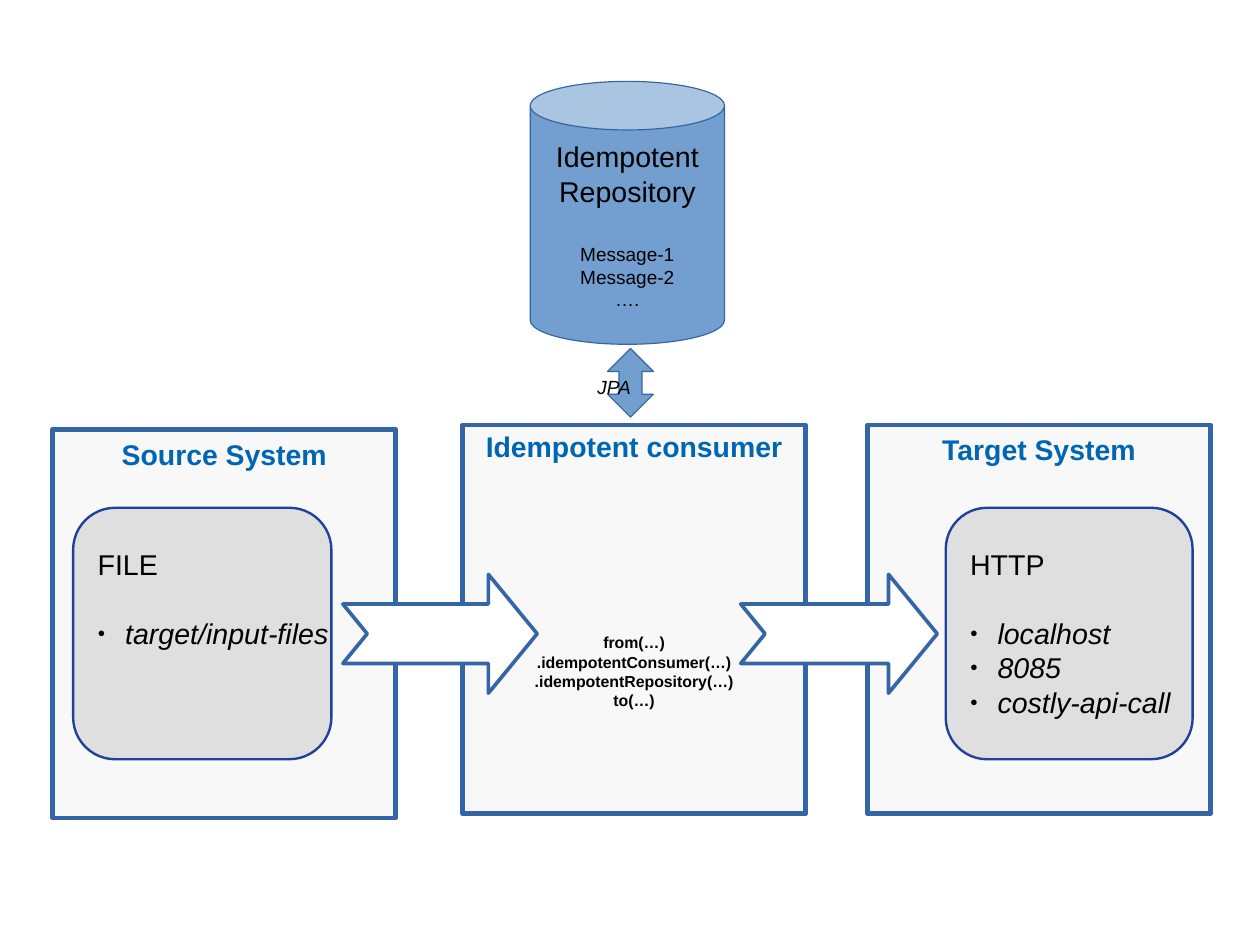
"""Build a one-slide diagram of the idempotent consumer pattern."""
from lxml import etree
from pptx import Presentation
from pptx.dml.color import RGBColor
from pptx.enum.shapes import MSO_SHAPE
from pptx.enum.text import MSO_ANCHOR, PP_ALIGN
from pptx.oxml.ns import qn
from pptx.util import Pt

RECT, ROUND = MSO_SHAPE.RECTANGLE, MSO_SHAPE.ROUNDED_RECTANGLE
CAN, NOTCH = MSO_SHAPE.CAN, MSO_SHAPE.NOTCHED_RIGHT_ARROW
BOTH = MSO_SHAPE.UP_DOWN_ARROW
TOP, MID = MSO_ANCHOR.TOP, MSO_ANCHOR.MIDDLE
LEFT, MIDDLE, RIGHT = PP_ALIGN.LEFT, PP_ALIGN.CENTER, PP_ALIGN.RIGHT

COLORS = {"panel": "EEEEEE", "card": "CCCCCC", "store": "729FCF",
          "white": "FFFFFF", "edge": "3465A4", "rim": "21409A",
          "title": "0066B3", "text": "000000"}
FONT = "Arial"
WIDE, HIGH = 793.7, 595.28
GAP = 21.7

PANELS = [
    (33.3, 270.5, 4.7, "Source System", []),
    (291.4, 267.8, 2.3, "Idempotent consumer",
     ["from(…)", ".idempotentConsumer(…)", ".idempotentRepository(…)",
      "to(…)"]),
    (546.5, 267.8, 4.6, "Target System", []),
]
FLOWS = [(216, 122.4), (466.6, 123.8)]
CARDS = [
    (46.1, 162.7, "FILE", ["target/input-files"]),
    (595.8, 155.5, "HTTP", ["localhost", "8085", "costly-api-call"]),
]
STORE = ["Idempotent", "Repository"]
ROWS = ["Message-1", "Message-2", "…."]


def rgb(key):
    return RGBColor.from_string(COLORS[key])


def draw(slide, kind, box, fill, line, width, adjust=(), alpha=None):
    shape = slide.shapes.add_shape(kind, *map(Pt, box))
    shape.shadow.inherit = False
    for i, val in enumerate(adjust):
        shape.adjustments[i] = val
    shape.fill.solid()
    shape.fill.fore_color.rgb = rgb(fill)
    if alpha:
        tint = shape.fill._xPr.find(".//" + qn("a:srgbClr"))
        etree.SubElement(tint, qn("a:alpha"), val=str(alpha * 1000))
    shape.line.color.rgb = rgb(line)
    shape.line.width = Pt(width)
    return shape


def bullet(para):
    props = para._p.get_or_add_pPr()
    props.set("marL", str(Pt(17.3)))
    props.set("indent", str(-Pt(17.3)))
    tint = etree.SubElement(props, qn("a:buClr"))
    etree.SubElement(tint, qn("a:srgbClr"), val=COLORS["text"])
    etree.SubElement(props, qn("a:buSzPct"), val="45000")
    etree.SubElement(props, qn("a:buFont"), typeface=FONT)
    etree.SubElement(props, qn("a:buChar"), char="●")


def write(shape, lines, align, anchor, side=0, top=0):
    """Fill a shape with (text, size, color, bold, italic, gap, dot) lines."""
    frame = shape.text_frame
    frame.word_wrap = False
    frame.vertical_anchor = anchor
    frame.margin_left = frame.margin_right = Pt(side)
    frame.margin_top, frame.margin_bottom = Pt(top), Pt(0)
    for i, (text, size, color, bold, slant, gap, dot) in enumerate(lines):
        para = frame.add_paragraph() if i else frame.paragraphs[0]
        para.text = text
        para.alignment = align
        if dot:
            bullet(para)
        if gap:
            para.space_before = Pt(gap)
        font = para.font
        font.name, font.size = FONT, Pt(size)
        font.bold, font.italic = bold, slant
        font.color.rgb = rgb(color)


def main():
    deck = Presentation()
    deck.slide_width, deck.slide_height = Pt(WIDE), Pt(HIGH)
    slide = deck.slides.add_slide(deck.slide_layouts[6])

    for x, y, top, title, code in PANELS:
        panel = draw(slide, RECT, (x, y, 216, 244.8), "panel", "edge", 3,
                     alpha=38)
        lines = [(title, 17.9, "title", True, False, 0, False)]
        lines += [(text, 10, "text", True, False, 0 if i else 107.3, False)
                  for i, text in enumerate(code)]
        write(panel, lines, MIDDLE, TOP, 8.6, top)

    for x, wide in FLOWS:
        draw(slide, NOTCH, (x, 361.8, wide, 74.9), "white", "edge", 2.3,
             (0.5, 0.41))

    for x, wide, head, items in CARDS:
        card = draw(slide, ROUND, (x, 319.9, wide, 158.4), "card", "rim",
                    1.5, (0.167,), 56)
        lines = [(head, 18, "text", False, False, 0, False)]
        lines += [(text, 18, "text", False, True, 0 if i else GAP, True)
                  for i, text in enumerate(items)]
        write(card, lines, LEFT, TOP, 7.7, 17.2)

    store = draw(slide, CAN, (334, 51.3, 122.4, 165.6), "store", "edge", 0,
                 (0.25,))
    lines = [(text, 18, "text", False, False, 0, False) for text in STORE]
    lines += [(text, 12, "text", False, False, 0 if i else GAP, False)
              for i, text in enumerate(ROWS)]
    write(store, lines, MIDDLE, MID)

    draw(slide, BOTH, (382.8, 219.6, 28.8, 43.2), "store", "edge", 0,
         (0.3, 0.5))
    label = slide.shapes.add_textbox(Pt(376), Pt(236.8), Pt(21.4), Pt(14))
    write(label, [("JPA", 12, "text", False, True, 0, False)], RIGHT, MID)

    deck.save("out.pptx")


if __name__ == "__main__":
    main()
